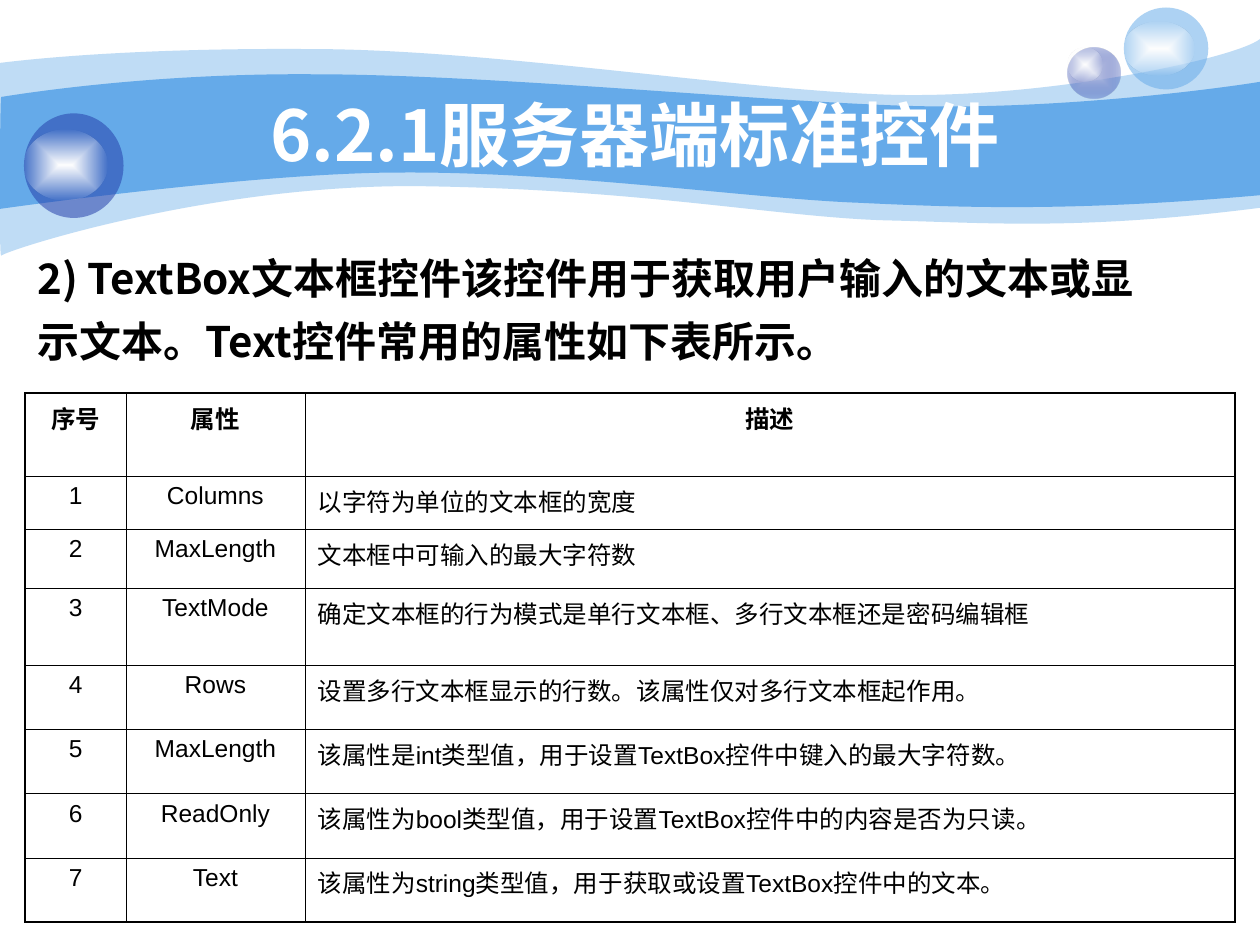
import pptx
import pptx.dml.color
import pptx.enum.shapes
import pptx.enum.text
import pptx.oxml
import pptx.oxml.ns
import pptx.util
from lxml import etree

Inches = pptx.util.Inches
Pt = pptx.util.Pt
qn = pptx.oxml.ns.qn
ALIGN = pptx.enum.text.PP_ALIGN

COLORS = {"sky": "65AAE9", "navy": "233DA9", "lilac": "C6CCE8",
          "white": "FFFFFF", "glow": "FEFEFE", "black": "000000"}
CJK_FONT = "Noto Sans CJK SC"

OUTER_WAVE = ((0, 0.5), [
    [(0.24, 0.47), (1.07, 0.38), (2.47, 0.39)],
    [(3.86, 0.39), (5.75, 0.7), (6.99, 0.75)],
    [(8.22, 0.8), (9.8, 0.47), (10, 0.31)],
    [(10, 1.65)],
    [(8.58, 1.83), (7.87, 1.77), (7.05, 1.75)],
    [(6.22, 1.73), (5.15, 1.51), (3.43, 1.48)],
    [(1.72, 1.44), (0.04, 1.99), (0.01, 2.03)],
    [(-0.01, 2.08), (0, 0.75), (0, 0.5)]])
INNER_WAVE = ((0.01, 0.77), [
    [(0.02, 0.77), (1.1, 0.58), (2.48, 0.59)],
    [(3.86, 0.59), (5.95, 0.8), (7.18, 0.84)],
    [(8.41, 0.88), (9.76, 0.69), (10, 0.65)],
    [(10, 1.55)],
    [(8.53, 1.68), (7.65, 1.65), (6.82, 1.61)],
    [(5.99, 1.58), (4.47, 1.36), (3.17, 1.37)],
    [(2.03, 1.37), (-0.02, 1.66), (-0.01, 1.66)],
    [(0, 1.66), (0, 0.77), (0.01, 0.77)]])

TITLE = "6.2.1服务器端标准控件"
INTRO = ["2) TextBox文本框控件该控件用于获取用户输入的文本或显",
         "示文本。Text控件常用的属性如下表所示。"]
HEADER = ("序号", "属性", "描述")
PROPERTIES = [
    ("Columns", "以字符为单位的文本框的宽度"),
    ("MaxLength", "文本框中可输入的最大字符数"),
    ("TextMode", "确定文本框的行为模式是单行文本框、多行文本框还是密码编辑框"),
    ("Rows", "设置多行文本框显示的行数。该属性仅对多行文本框起作用。"),
    ("MaxLength", "该属性是int类型值，用于设置TextBox控件中键入的最大字符数。"),
    ("ReadOnly", "该属性为bool类型值，用于设置TextBox控件中的内容是否为只读。"),
    ("Text", "该属性为string类型值，用于获取或设置TextBox控件中的文本。")]
COLUMN_WIDTHS = (0.8, 1.42, 7.38)
ROW_HEIGHTS = (0.66, 0.42, 0.47, 0.61) + (0.51,) * 4


def write(paragraph, text, latin, size, color, bold, align):
    """Fill a paragraph with one formatted run."""
    paragraph.alignment = align
    run = paragraph.add_run()
    run.text = text
    for key, value in {"name": latin, "size": Pt(size), "bold": bold}.items():
        setattr(run.font, key, value)
    run.font.color.rgb = rgb(color)
    etree.SubElement(run.font._element, qn("a:ea")).set("typeface", CJK_FONT)


def rgb(name):
    """Return the named palette colour."""
    return pptx.dml.color.RGBColor.from_string(COLORS[name])


def set_insets(target):
    """Set the inner margins of a text frame or cell."""
    margins = {"left": 0.1, "right": 0.1, "top": 0.05, "bottom": 0.05}
    for side, inset in margins.items():
        setattr(target, f"margin_{side}", Inches(inset))


def paint_solid(shape, color, opacity=100):
    """Give a shape a plain fill with no outline or shadow."""
    shape.shadow.inherit = False
    shape.line.fill.background()
    shape.fill.solid()
    shape.fill.fore_color.rgb = rgb(color)
    if opacity < 100:
        tint = shape._element.spPr.find(f"{qn('a:solidFill')}/{qn('a:srgbClr')}")
        etree.SubElement(tint, qn("a:alpha")).set("val", str(opacity * 1000))


def paint_glow(shape, center, rim, rim_opacity):
    """Give a shape a gradient from its centre to a translucent rim."""
    paint_solid(shape, center)
    gradient = pptx.oxml.parse_xml(
        f'<a:gradFill {pptx.oxml.ns.nsdecls("a")}><a:gsLst>'
        f'<a:gs pos="0"><a:srgbClr val="{COLORS[center]}"/></a:gs>'
        f'<a:gs pos="100000"><a:srgbClr val="{COLORS[rim]}">'
        f'<a:alpha val="{rim_opacity * 1000}"/></a:srgbClr></a:gs></a:gsLst>'
        '<a:path path="rect"><a:fillToRect l="50000" t="50000" r="50000" '
        'b="50000"/></a:path></a:gradFill>')
    properties = shape._element.spPr
    properties.replace(properties.find(qn("a:solidFill")), gradient)


def add_wave(slide, left, top, outline, opacity):
    """Draw one wave band, joining control points into cubic curves."""
    start, segments = outline
    points = [(Inches(left + x), Inches(top + y))
              for x, y in [start] + sum(segments, [])]
    builder = slide.shapes.build_freeform(*points[0], scale=1.0)
    builder.add_line_segments(points[1:], close=True)
    wave = builder.convert_to_shape()
    lines = iter(list(wave._element.iter(qn("a:lnTo"))))
    for segment in segments:
        first, *others = [next(lines) for _ in segment]
        if others:
            curve = etree.Element(qn("a:cubicBezTo"))
            first.addprevious(curve)
            for line in (first, *others):
                curve.append(line[0])
                line.getparent().remove(line)
    paint_solid(wave, "sky", opacity)


def add_bubble(slide, left, top, ball, shine, color):
    """Draw a bubble and its highlight as a group."""
    bubble = slide.shapes.add_group_shape()
    oval = pptx.enum.shapes.MSO_SHAPE.OVAL
    body, highlight = [
        bubble.shapes.add_shape(oval, Inches(left + x), Inches(top + y), Inches(w), Inches(h))
        for x, y, w, h in (ball, shine)]
    if color == "lilac":
        paint_glow(body, color, "navy", 31)
    else:
        paint_solid(body, color, 53)
    paint_glow(highlight, "white", "glow", 0)


def add_banner(slide, left, top):
    """Draw the waves, the bubbles and the title over them."""
    add_wave(slide, left, top, OUTER_WAVE, 41)
    add_wave(slide, left, top, INNER_WAVE, 100)
    for ball, shine, color in (
            ((8.47, 0.38, 0.42, 0.4), (8.47, 0.38, 0.28, 0.27), "lilac"),
            ((8.92, 0.06, 0.67, 0.65), (8.92, 0.17, 0.56, 0.43), "sky"),
            ((0.19, 0.9, 0.79, 0.83), (0.19, 1.03, 0.66, 0.56), "navy")):
        add_bubble(slide, left, top, ball, shine, color)
    title = slide.shapes.title
    place = {"left": left + 1, "top": top + 0.75, "width": 8.08, "height": 0.62}
    for key, value in place.items():
        setattr(title, key, Inches(value))
    frame = title.text_frame
    frame.auto_size = pptx.enum.text.MSO_AUTO_SIZE.NONE
    frame.vertical_anchor = pptx.enum.text.MSO_ANCHOR.MIDDLE
    set_insets(frame)
    write(frame.paragraphs[0], TITLE, CJK_FONT, 40, "white", True, ALIGN.CENTER)
    title._element.getparent().append(title._element)


def add_intro(slide, left, top, width, height):
    """Write the introduction above the table."""
    frame = slide.shapes.add_textbox(
        Inches(left), Inches(top), Inches(width), Inches(height)).text_frame
    frame.word_wrap = True
    set_insets(frame)
    for index, line in enumerate(INTRO):
        paragraph = frame.add_paragraph() if index else frame.paragraphs[0]
        paragraph.line_spacing = 0.9
        paragraph.space_before = Pt(10 if index else 0)
        write(paragraph, line, CJK_FONT, 24, "black", True, ALIGN.LEFT)


def set_borders(cell, heavy_sides):
    """Rule a cell thinly, and heavily on the sides named."""
    properties = cell._tc.get_or_add_tcPr()
    for index, side in enumerate("LRTB"):
        width = Pt(1.08 if side in heavy_sides else 0.45)
        properties.insert(index, pptx.oxml.parse_xml(
            f'<a:ln{side} {pptx.oxml.ns.nsdecls("a")} w="{width}"><a:solidFill>'
            f'<a:srgbClr val="{COLORS["black"]}"/></a:solidFill></a:ln{side}>'))


def add_property_table(slide, left, top):
    """Build the table of control properties."""
    rows = [HEADER] + [(str(n), *entry) for n, entry in enumerate(PROPERTIES, 1)]
    table = slide.shapes.add_table(
        len(rows), len(HEADER), Inches(left), Inches(top),
        Inches(sum(COLUMN_WIDTHS)), Inches(sum(ROW_HEIGHTS))).table
    table.first_row = table.horz_banding = False
    for column, width in zip(table.columns, COLUMN_WIDTHS):
        column.width = Inches(width)
    last_row, last_column = len(rows) - 1, len(HEADER) - 1
    for r, texts in enumerate(rows):
        table.rows[r].height = Inches(ROW_HEIGHTS[r])
        for c, text in enumerate(texts):
            cell = table.cell(r, c)
            cell.fill.background()
            set_insets(cell)
            edges = {"L": c == 0, "R": c == last_column, "T": r == 0, "B": r == last_row}
            set_borders(cell, [side for side, heavy in edges.items() if heavy])
            align = ALIGN.LEFT if r and c == last_column else ALIGN.CENTER
            write(cell.text_frame.paragraphs[0], text, "Arial", 14, "black", r == 0, align)


def main():
    """Build the slide and save it."""
    deck = pptx.Presentation()
    deck.slide_width, deck.slide_height = Inches(10), Inches(7.5)
    slide = deck.slides.add_slide(deck.slide_layouts[5])
    add_banner(slide, 0, 0)
    add_intro(slide, 0.2, 2, 9.8, 1.04)
    add_property_table(slide, 0.2, 3.12)
    deck.save("out.pptx")


if __name__ == "__main__":
    main()
